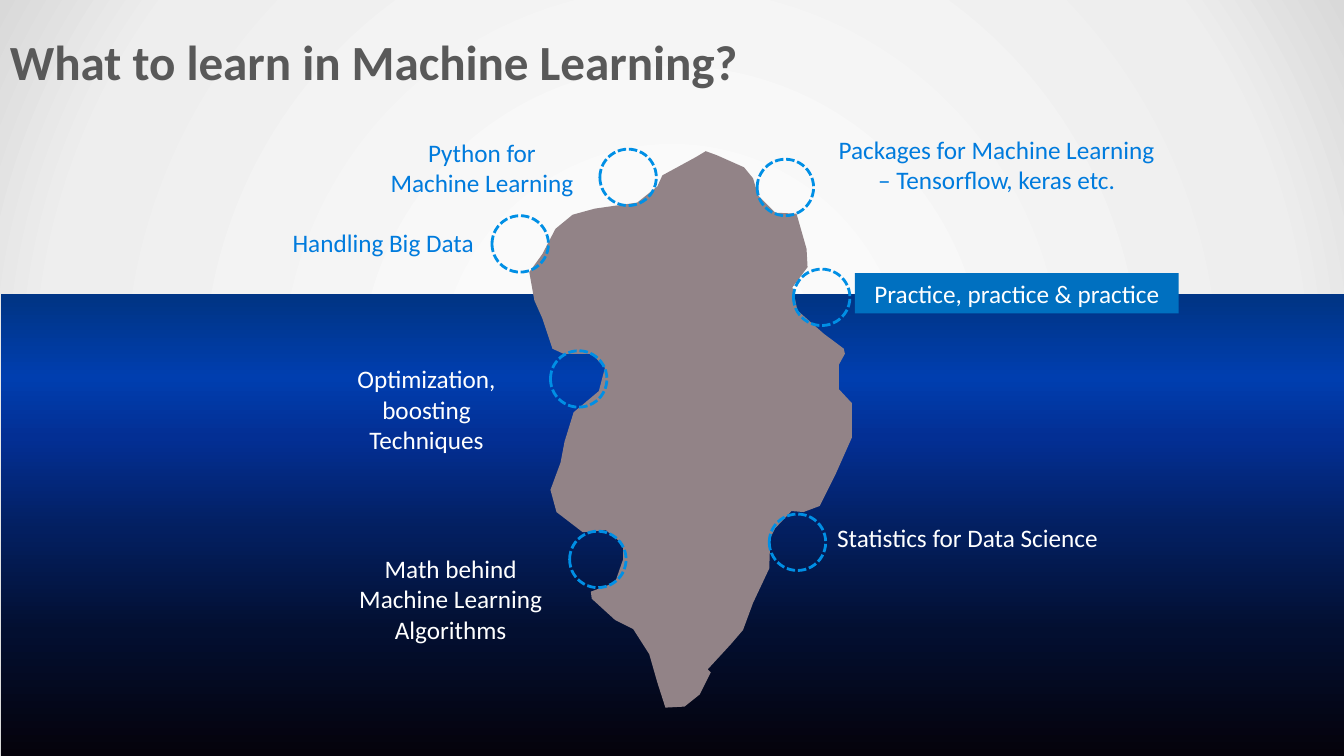
from lxml import etree
from pptx import Presentation
from pptx.dml.color import RGBColor
from pptx.enum.dml import MSO_LINE
from pptx.enum.shapes import MSO_SHAPE
from pptx.enum.text import MSO_ANCHOR, PP_ALIGN
from pptx.oxml.ns import qn
from pptx.util import Inches, Pt

WHITE, SKY_BLUE = "FFFFFF", "007BDD"

BACKGROUND_STOPS = [(0, "FFFFFF"), (81, "EEEEEE"), (100, "D9D9D9")]
SEA_STOPS = [(0, "05020B"), (27, "030F30"), (49, "031F60"),
             (69, "032F94"), (82, "003EAF"), (99, "003586")]

# Iceberg outline in hundredths of an inch, clockwise from the peak
ICEBERG = [
    (700, 150), (711, 154), (729, 162), (738, 166), (747, 177), (752, 194),
    (769, 211), (790, 212), (800, 247), (801, 265), (786, 285), (791, 308),
    (817, 331), (837, 346), (838, 351), (832, 362), (832, 386), (845, 400),
    (845, 434), (829, 470), (813, 502), (797, 508), (785, 507), (769, 524),
    (764, 534), (763, 564), (747, 598), (737, 625), (725, 639), (702, 664),
    (705, 667), (694, 689), (679, 701), (660, 702), (652, 677), (644, 649),
    (628, 624), (610, 615), (587, 594), (586, 587), (610, 578), (618, 555),
    (618, 540), (601, 526), (578, 528), (552, 508), (546, 486), (556, 459),
    (560, 438), (569, 409), (594, 388), (600, 365), (587, 351), (559, 351),
    (548, 346), (538, 316), (530, 298), (525, 270), (538, 252), (551, 227),
    (568, 213), (590, 207), (632, 201), (652, 185), (657, 174), (690, 156),
]

CIRCLES = [(5.46, 3.48), (5.65, 5.27), (7.87, 2.67), (7.51, 1.58),
           (5.95, 1.48), (7.63, 5.1), (4.88, 2.14)]

# text, left, top, width, height, colour
LABELS = [
    ("Optimization, boosting Techniques", 3.17, 3.56, 2.12, 1.01, WHITE),
    ("Math behind Machine Learning Algorithms", 3.41, 5.44, 2.12, 1.01, WHITE),
    ("Statistics for Data Science", 8.1, 5.13, 2.99, 0.71, WHITE),
    ("Practice, practice & practice", 8.48, 2.71, 3.21, 0.4, WHITE),
    ("Handling Big Data", 2.74, 2.21, 2.12, 0.4, SKY_BLUE),
    ("Python for Machine Learning", 3.72, 1.31, 2.12, 0.71, SKY_BLUE),
    ("Packages for Machine Learning – Tensorflow, keras etc.",
     8.15, 1.28, 3.47, 0.71, SKY_BLUE),
]


def rgb(hex_code):
    return RGBColor.from_string(hex_code)


def set_gradient(fill, element, stops, direction):
    """Give a fill any number of stops (percent, colour) and a direction element."""
    fill.gradient()
    grad = element.find(".//" + qn("a:gradFill"))
    for child in list(grad):
        grad.remove(child)
    gs_list = etree.SubElement(grad, qn("a:gsLst"))
    for percent, colour in stops:
        gs = etree.SubElement(gs_list, qn("a:gs"), pos=str(percent * 1000))
        etree.SubElement(gs, qn("a:srgbClr"), val=colour)
    grad.append(direction)


prs = Presentation()
prs.slide_width, prs.slide_height = Inches(13.33), Inches(7.5)
s = prs.slides.add_slide(prs.slide_layouts[6])

radial = etree.Element(qn("a:path"), path="circle")
etree.SubElement(radial, qn("a:fillToRect"), dict.fromkeys("ltrb", "50000"))
set_gradient(s.background.fill, s.element, BACKGROUND_STOPS, radial)

sea = s.shapes.add_shape(MSO_SHAPE.RECTANGLE, Inches(0.01), Inches(2.92),
                         Inches(13.33), Inches(4.58))
sea.shadow.inherit = False
sea.line.fill.background()
upward = etree.Element(qn("a:lin"), ang=str(270 * 60000), scaled="0")
set_gradient(sea.fill, sea.element, SEA_STOPS, upward)

builder = s.shapes.build_freeform(*ICEBERG[0], scale=Inches(0.01))
builder.add_line_segments(ICEBERG[1:], close=True)
iceberg = builder.convert_to_shape()
iceberg.shadow.inherit = False
iceberg.fill.solid()
iceberg.fill.fore_color.rgb = rgb("928387")
iceberg.line.fill.background()

for left, top in CIRCLES:
    circle = s.shapes.add_shape(MSO_SHAPE.OVAL, Inches(left), Inches(top),
                                Inches(0.56), Inches(0.56))
    circle.shadow.inherit = False
    circle.fill.background()
    circle.line.color.rgb = rgb("008FE5")
    circle.line.width = Pt(2)
    circle.line.dash_style = MSO_LINE.SQUARE_DOT

for text, left, top, width, height, colour in LABELS:
    label = s.shapes.add_textbox(Inches(left), Inches(top), Inches(width), Inches(height))
    if text.startswith("Practice"):
        label.fill.solid()
        label.fill.fore_color.rgb = rgb("0070C0")
    tf = label.text_frame
    tf.word_wrap = True
    p = tf.paragraphs[0]
    p.text = text
    p.alignment = PP_ALIGN.CENTER
    p.font.name, p.font.size = "Calibri", Pt(18)
    p.font.color.rgb = rgb(colour)

title = s.shapes.add_textbox(0, Inches(0.25), Inches(9), Inches(0.7))
tf = title.text_frame
tf.word_wrap = True
tf.vertical_anchor = MSO_ANCHOR.MIDDLE
p = tf.paragraphs[0]
p.text = "What to learn in Machine Learning?"
p.font.name, p.font.size, p.font.bold = "Calibri", Pt(35.1), True
p.font.color.rgb = rgb("595959")

prs.save("out.pptx")
